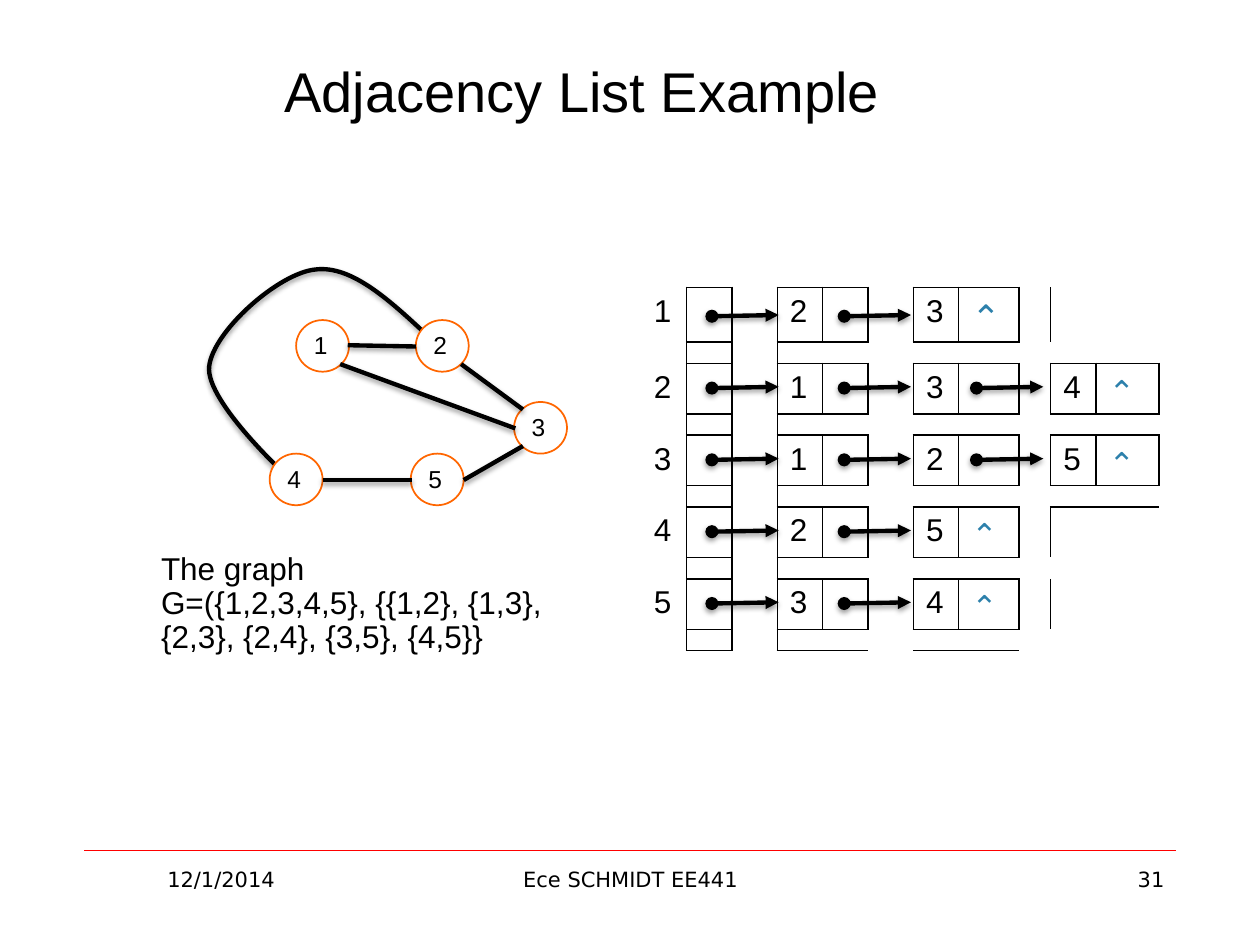
from collections import defaultdict

from lxml.etree import SubElement
from pptx import Presentation
from pptx.dml.color import RGBColor
from pptx.enum.shapes import MSO_CONNECTOR, MSO_SHAPE
from pptx.enum.text import MSO_ANCHOR, PP_ALIGN
from pptx.oxml.ns import qn
from pptx.util import Inches, Pt

COLORS = {"ink": "000000", "paper": "FFFFFF", "node": "FF6600",
          "null": "2C80AB", "rule": "FF0000"}
NULL = "⌃"

TITLE = "Adjacency List Example"
CAPTION = ["The graph",
           "G=({1,2,3,4,5}, {{1,2}, {1,3}, {2,3}, {2,4}, {3,5}, {4,5}}"]
FOOTERS = [("12/1/2014", 0.67, 2.17, PP_ALIGN.CENTER),
           ("Ece SCHMIDT EE441", 3.42, 3.17, PP_ALIGN.CENTER),
           ("31", 7.17, 2.17, PP_ALIGN.RIGHT)]

# Graph vertices: label -> left, top of its circle
VERTICES = {"1": (2.35, 2.54), "2": (3.3, 2.54), "4": (2.14, 3.6),
            "5": (3.26, 3.6), "3": (4.08, 3.19)}
EDGES = [((3.66, 2.89), (4.15, 3.25)), ((2.7, 2.89), (4.09, 3.4)),
         ((3.68, 3.81), (4.15, 3.54)), ((2.56, 3.81), (3.27, 3.81)),
         ((2.76, 2.74), (3.3, 2.75))]
# Edge 2-4: start point, then two control points and an end point per segment
CURVED_EDGE = [(3.41, 2.68), (3.1, 2.39), (2.79, 2.1), (2.5, 2.14),
               (2.21, 2.17), (1.69, 2.63), (1.66, 2.91),
               (1.63, 3.19), (2.3, 3.8), (2.3, 3.8)]

ADJACENCY = {"1": "23", "2": "134", "3": "125", "4": "25", "5": "34"}
COLUMN_WIDTHS = [0.36] * 7 + [0.48, 0.25, 0.36, 0.5, 0.25]
ROW_HEIGHTS = [0.4, 0.43, 0.17] + [0.4, 0.17] * 4 + [0.4]
HEAD_COLUMN, FIRST_NODE_COLUMN, NODE_STEP = 1, 3, 3
ARROW_LEFT, ARROW_TOP = 5.65, 2.51
ARROW_STEP_X, ARROW_STEP_Y, ARROW_LENGTH = 1.05, 0.57, 0.53

prs = Presentation()
prs.slide_width, prs.slide_height = Inches(10), Inches(7.5)
slide = prs.slides.add_slide(prs.slide_layouts[6])
shapes = slide.shapes


def color(name):
    return RGBColor.from_string(COLORS[name])


def style_text(paragraph, size, font="Arial", ink="ink"):
    for run in paragraph.runs:
        run.font.size, run.font.name = Pt(size), font
        run.font.color.rgb = color(ink)


def add_text(lines, box, size, font="Arial", align=PP_ALIGN.LEFT,
             anchor=MSO_ANCHOR.TOP, spacing=None, inset=None):
    frame = shapes.add_textbox(*map(Inches, box)).text_frame
    frame.word_wrap, frame.vertical_anchor = True, anchor
    if inset is not None:
        frame.margin_left = frame.margin_right = Inches(inset)
        frame.margin_top = frame.margin_bottom = Inches(inset)
    frame.text = "\n".join(lines)
    for paragraph in frame.paragraphs:
        paragraph.alignment, paragraph.line_spacing = align, spacing
        style_text(paragraph, size, font)


def set_shadow(shape, visible):
    """Replace the theme shadow by a soft one below, or by none."""
    properties = shape._element.spPr
    for old in properties.findall(qn("a:effectLst")):
        properties.remove(old)
    effects = SubElement(properties, qn("a:effectLst"))
    if visible:
        shadow = SubElement(effects, qn("a:outerShdw"), blurRad=str(Pt(3.1)),
                            dist=str(Pt(1.6)), dir="5400000", rotWithShape="0")
        black = SubElement(shadow, qn("a:srgbClr"), val=COLORS["ink"])
        SubElement(black, qn("a:alpha"), val="38000")


def add_line(start, end, ink="ink", width=2.5, arrow=False, shadow=True):
    line = shapes.add_connector(MSO_CONNECTOR.STRAIGHT,
                                *map(Inches, start + end))
    line.line.color.rgb, line.line.width = color(ink), Pt(width)
    if arrow:
        outline = line.line._get_or_add_ln()
        SubElement(outline, qn("a:headEnd"), type="oval")
        SubElement(outline, qn("a:tailEnd"), type="triangle")
    set_shadow(line, shadow)


def add_curve(points):
    """Draw cubic segments through points, three per segment."""
    scaled = [(Inches(x), Inches(y)) for x, y in points]
    builder = shapes.build_freeform(*scaled[0])
    builder.add_line_segments(scaled[1:], close=False)
    curve = builder.convert_to_shape()
    path = next(curve._element.iter(qn("a:path")))
    steps = path.findall(qn("a:lnTo"))
    for first in range(0, len(steps), 3):
        cubic = SubElement(path, qn("a:cubicBezTo"))
        for step in steps[first:first + 3]:
            cubic.append(step[0])
            path.remove(step)
    curve.fill.background()
    curve.line.color.rgb, curve.line.width = color("ink"), Pt(2.5)
    set_shadow(curve, True)


def add_vertex(label, left, top):
    circle = shapes.add_shape(MSO_SHAPE.OVAL, Inches(left), Inches(top),
                              Inches(0.42), Inches(0.41))
    circle.fill.solid()
    circle.fill.fore_color.rgb = color("paper")
    circle.line.color.rgb, circle.line.width = color("node"), Pt(1)
    circle.shadow.inherit = False
    add_text([label], (left + 0.14, top + 0.08, 0.21, 0.24), 14, inset=0)


def add_adjacency_table():
    texts, boxes = {}, []
    for index, (vertex, neighbours) in enumerate(ADJACENCY.items()):
        row = 1 + 2 * index
        texts[row, 0] = vertex
        boxes.append((row, row + 1, HEAD_COLUMN))
        for position, neighbour in enumerate(neighbours):
            column = FIRST_NODE_COLUMN + NODE_STEP * position
            texts[row, column] = neighbour
            boxes += [(row, row, column), (row, row, column + 1)]
        texts[row, column + 1] = NULL

    # Each border belongs to both cells that share it
    borders, filled = defaultdict(set), set()
    for top, bottom, column in boxes:
        for row in range(top, bottom + 1):
            filled.add((row, column))
            borders[row, column] |= {"L", "R"}
            borders[row, column - 1].add("R")
            borders[row, column + 1].add("L")
        borders[top, column].add("T")
        borders[top - 1, column].add("B")
        borders[bottom, column].add("B")
        borders[bottom + 1, column].add("T")

    table = shapes.add_table(
        len(ROW_HEIGHTS), len(COLUMN_WIDTHS), Inches(5.09), Inches(1.88),
        Inches(sum(COLUMN_WIDTHS)), Inches(sum(ROW_HEIGHTS))).table
    table.first_row = table.horz_banding = False
    plain_style = "{2D5ABB26-0587-4C30-8999-92F81FD0307C}"
    next(table._tbl.iter(qn("a:tableStyleId"))).text = plain_style
    for column, width in zip(table.columns, COLUMN_WIDTHS):
        column.width = Inches(width)
    for r, height in enumerate(ROW_HEIGHTS):
        table.rows[r].height = Inches(height)
        for c in range(len(COLUMN_WIDTHS)):
            cell = table.cell(r, c)
            paragraph = cell.text_frame.paragraphs[0]
            if (r, c) in texts:
                paragraph.text = texts[r, c]
                if texts[r, c] == NULL:
                    style_text(paragraph, 20 if r == 1 else 18,
                               "Open Sans", "null")
                else:
                    style_text(paragraph, 18)
            else:
                cell.margin_top = cell.margin_bottom = 0
                SubElement(paragraph._p, qn("a:endParaRPr"), sz="500")
            properties = cell._tc.get_or_add_tcPr()
            for side in "LRTB":
                if side in borders[r, c]:
                    border = SubElement(properties, qn("a:ln" + side),
                                        w=str(Pt(1)))
                    paint = SubElement(border, qn("a:solidFill"))
                    SubElement(paint, qn("a:srgbClr"), val=COLORS["ink"])
            if (r, c) in filled:
                cell.fill.solid()
                cell.fill.fore_color.rgb = color("paper")
            else:
                cell.fill.background()


add_line((0.67, 6.75), (9.33, 6.75), "rule", 0.25, shadow=False)
add_text([TITLE], (0.83, 0.25, 7.58, 1), 32, align=PP_ALIGN.CENTER,
         anchor=MSO_ANCHOR.MIDDLE, spacing=0.9)
add_curve(CURVED_EDGE)
for label, corner in VERTICES.items():
    add_vertex(label, *corner)
for start, end in EDGES:
    add_line(start, end)

add_adjacency_table()
for index, neighbours in enumerate(ADJACENCY.values()):
    y = ARROW_TOP + ARROW_STEP_Y * index
    for position in range(len(neighbours)):
        x = ARROW_LEFT + ARROW_STEP_X * position
        add_line((x, y), (x + ARROW_LENGTH, y - 0.01), arrow=True)

add_text(CAPTION, (1.18, 4.34, 3.53, 0.92), 18, spacing=0.9)
for text, left, width, align in FOOTERS:
    add_text([text], (left, 6.83, width, 0.52), 12, "DejaVu Sans", align)

prs.save("out.pptx")
